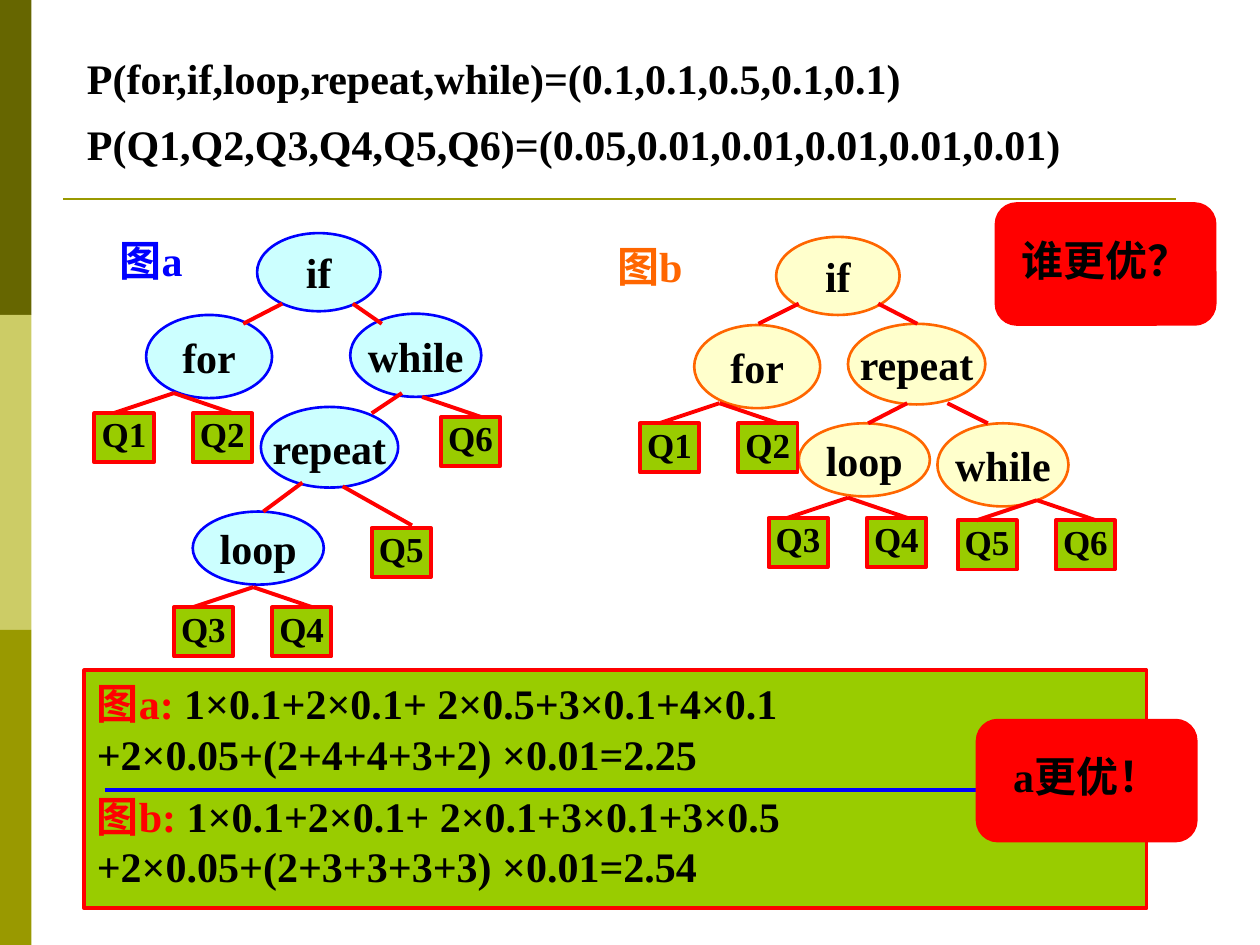
import pptx
import pptx.util
import pptx.dml.color
import pptx.enum.shapes
import pptx.enum.text
import pptx.oxml

Inches, Pt = pptx.util.Inches, pptx.util.Pt
KIND = pptx.enum.shapes.MSO_SHAPE
ALIGN = pptx.enum.text.PP_ALIGN
ANCHOR = pptx.enum.text.MSO_ANCHOR

THEME = {
    "font": "Times New Roman", "text": 24, "leaf": 20,
    "thin": 1.5, "thick": 2.25,
    "black": "000000", "red": "FF0000", "blue": "0000FF",
    "orange": "FF6600", "green": "99CC00", "olive": "999900",
    "sky": "CCFFFF", "cream": "FFFFCC",
    "strips": ["666600", "CCCC66", "999900"],
}

HEAD = [
    "P(for,if,loop,repeat,while)=(0.1,0.1,0.5,0.1,0.1)",
    "P(Q1,Q2,Q3,Q4,Q5,Q6)=(0.05,0.01,0.01,0.01,0.01,0.01)",
]

# Each line of the sums: space before, then (text, colour) runs
SUMS = [
    (6, [("图a:", "red"), (" 1×0.1+2×0.1+ 2×0.5+3×0.1+4×0.1", "black")]),
    (6, [("+2×0.05+(2+4+4+3+2) ×0.01=2.25", "black")]),
    (12, [("图b:", "red"), (" 1×0.1+2×0.1+ 2×0.1+3×0.1+3×0.5", "black")]),
    (6, [("+2×0.05+(2+3+3+3+3) ×0.01=2.54", "black")]),
]

BADGES = [("谁更优？", 7.91, 1.62), ("a更优！", 7.76, 5.72)]

OVALS = {"if": (0.98, 0.62), "for": (1, 0.66), "while": (1.04, 0.66),
         "loop": (1.04, 0.58), "repeat": (1.09, 0.64)}
LEAF = (0.47, 0.39)
DROP = 0.16

# nodes: word -> left, top; links: x1, y1, x2, y2
# forks: tip x, tip y, left leaf, right leaf; lone: leaf, left, top
TREES = [
    {
        "label": ("图a", 0.85, 1.81, 0.78), "fill": "sky", "line": "blue",
        "nodes": {"if": (2.04, 1.85), "for": (1.16, 2.5),
                  "while": (2.78, 2.49), "loop": (1.53, 4.06),
                  "repeat": (2.07, 3.23)},
        "links": [(2.24, 2.41, 1.93, 2.57), (2.8, 2.41, 3.03, 2.57),
                  (2.4, 3.83, 2.09, 4.06), (3.19, 3.12, 2.95, 3.28),
                  (2.72, 3.86, 3.27, 4.17)],
        "forks": [(1.38, 3.12, "Q1", "Q2"), (3.35, 3.15, None, "Q6"),
                  (2.01, 4.66, "Q3", "Q4")],
        "lone": [("Q5", 2.95, 4.19)],
    },
    {
        "label": ("图b", 4.8, 1.86, 0.8), "fill": "cream", "line": "orange",
        "nodes": {"if": (6.16, 1.88), "for": (5.51, 2.58),
                  "while": (7.44, 3.36), "loop": (6.34, 3.36),
                  "repeat": (6.73, 2.57)},
        "links": [(6.34, 2.41, 6.02, 2.57), (6.97, 2.41, 7.28, 2.57),
                  (7.2, 3.2, 6.89, 3.36), (7.52, 3.2, 7.84, 3.36)],
        "forks": [(5.71, 3.2, "Q1", "Q2"), (6.73, 3.95, "Q3", "Q4"),
                  (8.23, 3.97, "Q5", "Q6")],
        "lone": [],
    },
]


def tint(name):
    return pptx.dml.color.RGBColor.from_string(THEME.get(name, name))


def write(frame, lines, size="text", align=ALIGN.CENTER, wrap=False,
          space=None):
    """Fill a frame with lines of (space before, [(text, colour), ...])."""
    frame.word_wrap = wrap
    frame.vertical_anchor = ANCHOR.MIDDLE
    for i, (gap, runs) in enumerate(lines):
        para = frame.add_paragraph() if i else frame.paragraphs[0]
        para.alignment = align
        para.space_before = Pt(gap)
        if space:
            para.line_spacing = space
        for text, hue in runs:
            run = para.add_run()
            run.text = text
            run.font.name = THEME["font"]
            run.font.size = Pt(THEME[size])
            run.font.bold = True
            run.font.color.rgb = tint(hue)


def shape(host, kind, box, fill, line=None, width="thick"):
    item = host.add_shape(kind, *map(Inches, box))
    item.shadow.inherit = False
    item.fill.solid()
    item.fill.fore_color.rgb = tint(fill)
    if line:
        item.line.color.rgb = tint(line)
        item.line.width = Pt(THEME[width])
    else:
        item.line.fill.background()
    return item


def link(host, ends, hue="red", width="thick"):
    item = host.add_connector(pptx.enum.shapes.MSO_CONNECTOR.STRAIGHT,
                              *map(Inches, ends))
    item.line.color.rgb = tint(hue)
    item.line.width = Pt(THEME[width])
    props = item._element.spPr
    props.append(props.makeelement(pptx.oxml.ns.qn("a:effectLst"), {}))


def leaf(host, name, x, y):
    item = shape(host, KIND.RECTANGLE, (x, y, *LEAF), "green", "red")
    write(item.text_frame, [(5, [(name, "black")])], "leaf", space=0.8)


def fork(host, x, y, left, right):
    """Hang up to two leaves below a tip, each on its own branch."""
    for name, start, end in ((left, -0.63, -0.48), (right, 0.15, 0.47)):
        if name:
            leaf(host, name, x + start, y + DROP)
            link(host, (x, y, x + end, y + DROP))


def tree(slide, data):
    host = slide.shapes.add_group_shape().shapes
    text, x, y, wide = data["label"]
    label = host.add_textbox(*map(Inches, (x, y, wide, 0.5)))
    write(label.text_frame, [(0, [(text, data["line"])])], align=ALIGN.LEFT)
    for word, spot in data["nodes"].items():
        oval = shape(host, KIND.OVAL, (*spot, *OVALS[word]),
                     data["fill"], data["line"], "thin")
        write(oval.text_frame, [(0, [(word, "black")])])
    for ends in data["links"]:
        link(host, ends)
    for part in data["forks"]:
        fork(host, *part)
    for part in data["lone"]:
        leaf(host, *part)


def main():
    deck = pptx.Presentation()
    deck.slide_width, deck.slide_height = Inches(10), Inches(7.5)
    slide = deck.slides.add_slide(deck.slide_layouts[5])
    for i, hue in enumerate(THEME["strips"]):
        shape(slide.shapes, KIND.RECTANGLE, (0, 2.5 * i, 0.25, 2.5), hue)
    link(slide.shapes, (0.5, 1.58, 9.33, 1.58), "olive", "thin")

    title = slide.shapes.title
    title.left, title.top, title.width, title.height = map(
        Inches, (0.59, 0.44, 8.74, 0.95))
    write(title.text_frame, [(15, [(line, "black")]) for line in HEAD],
          align=ALIGN.LEFT, wrap=True, space=0.8)
    title.text_frame.vertical_anchor = ANCHOR.TOP
    title.text_frame.auto_size = pptx.enum.text.MSO_AUTO_SIZE.NONE

    for data in TREES:
        tree(slide, data)

    sums = shape(slide.shapes, KIND.RECTANGLE, (0.67, 5.32, 8.43, 1.89),
                 "green", "red")
    write(sums.text_frame, SUMS, align=ALIGN.LEFT, wrap=True, space=0.8)
    link(slide.shapes, (0.83, 6.27, 8.47, 6.27), "blue")

    for text, x, y in BADGES:
        badge = shape(slide.shapes, KIND.ROUNDED_RECTANGLE,
                      (x, y, 1.73, 0.95), "red", "red")
        write(badge.text_frame, [(6, [(text, "black")])], space=0.8)
    deck.save("out.pptx")


if __name__ == "__main__":
    main()
